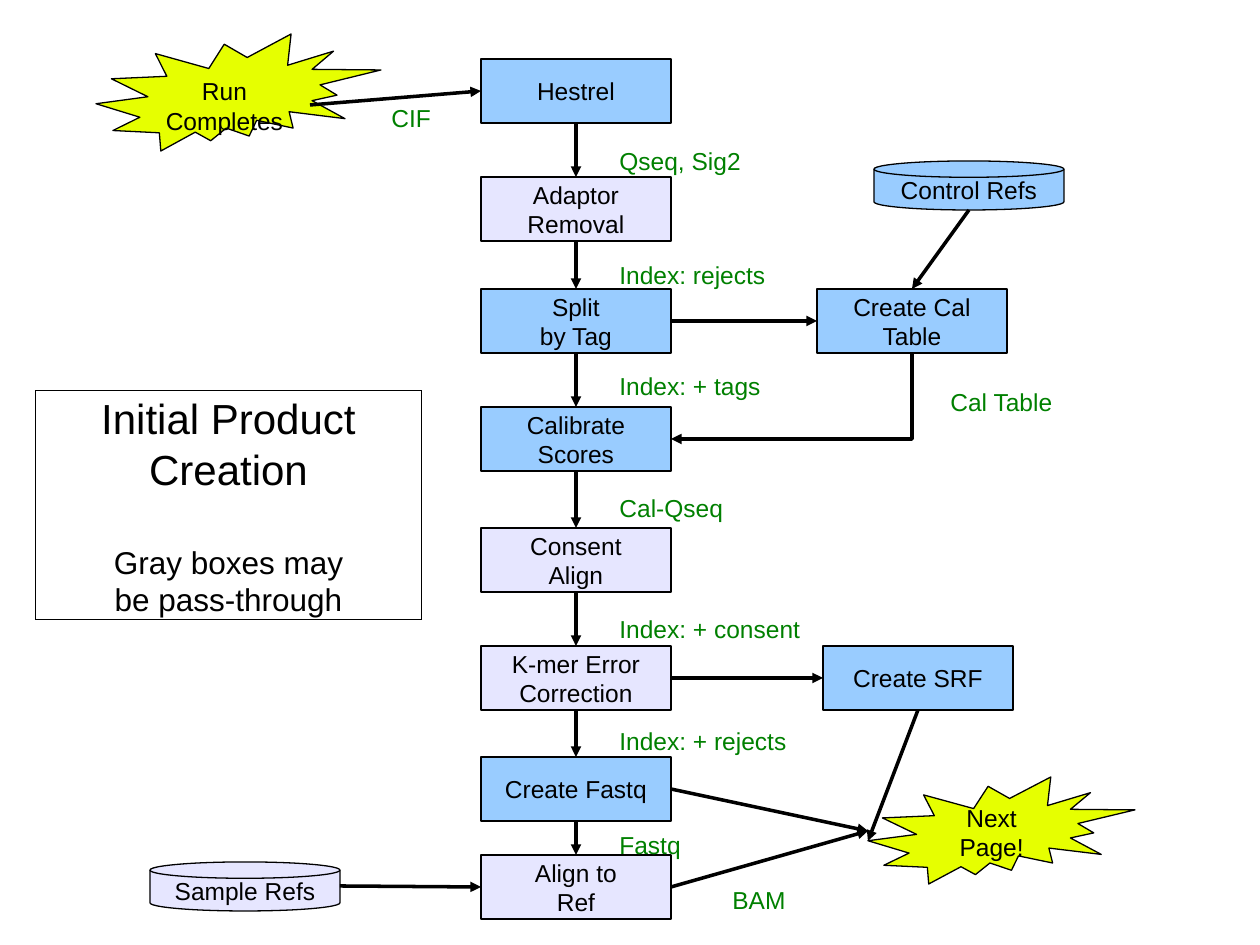
from lxml.etree import SubElement
from pptx import Presentation
from pptx.dml.color import RGBColor
from pptx.enum.shapes import MSO_CONNECTOR as LINK, MSO_SHAPE as SHAPE
from pptx.enum.text import MSO_ANCHOR as ANCHOR, MSO_AUTO_SIZE as AUTO, PP_ALIGN as ALIGN
from pptx.oxml.ns import qn
from pptx.util import Emu, Pt

PX = 914400 / 126
BLACK = RGBColor(0x00, 0x00, 0x00)
WHITE = RGBColor(0xFF, 0xFF, 0xFF)
BLUE = RGBColor(0x99, 0xCC, 0xFF)
GRAY = RGBColor(0xE6, 0xE6, 0xFF)
YELLOW = RGBColor(0xE6, 0xFF, 0x00)
GREEN = RGBColor(0x00, 0x80, 0x00)

STEP_W, STEP_H, DISK_H = 190, 64, 49
SPINE_X, LABEL_X = 481, 607

# Main pipeline: text, top, fill
PIPELINE = [
    ("Hestrel", 59, BLUE),
    ("Adaptor\nRemoval", 177, GRAY),
    ("Split\nby Tag", 289, BLUE),
    ("Calibrate\nScores", 407, BLUE),
    ("Consent\nAlign", 528, GRAY),
    ("K-mer Error\nCorrection", 646, GRAY),
    ("Create Fastq", 757, BLUE),
    ("Align to\nRef", 855, GRAY),
]
# Side steps: text, left, top, fill
SIDE_STEPS = [
    ("Create Cal\nTable", 817, 289, BLUE),
    ("Create SRF", 823, 646, BLUE),
]
REFERENCES = [
    ("Control Refs", 874, 161, BLUE),
    ("Sample Refs", 150, 862, GRAY),
]
# Data passed along: text, left, top, width
DATA_LABELS = [
    ("CIF", 379, 97, 78),
    ("Qseq, Sig2", LABEL_X, 140, 176),
    ("Index: rejects", LABEL_X, 254, 218),
    ("Index: + tags", LABEL_X, 365, 218),
    ("Cal-Qseq", LABEL_X, 487, 218),
    ("Index: + consent", LABEL_X, 608, 305),
    ("Index: + rejects", LABEL_X, 720, 305),
    ("Fastq", LABEL_X, 824, 305),
    ("Cal Table", 938, 381, 152),
    ("BAM", 720, 879, 94),
]
TITLE = [("Initial Product", 24, 0), ("Creation", 24, 0),
         ("Gray boxes may", 18, 28), ("be pass-through", 18, 0)]

TOP, LEFT, BOTTOM, RIGHT = range(4)
# Each end is a (step, side) pair or a plain point
SIDE_ARROWS = [
    ((310, 105), ("Hestrel", LEFT)),
    (("Split\nby Tag", RIGHT), ("Create Cal\nTable", LEFT)),
    ((969, 210), ("Create Cal\nTable", TOP)),
    (("K-mer Error\nCorrection", RIGHT), ("Create SRF", LEFT)),
    ((340, 886), ("Align to\nRef", LEFT)),
    (("Create Fastq", RIGHT), (868, 831)),
    (("Align to\nRef", RIGHT), (868, 831)),
    (("Create SRF", BOTTOM), (868, 841)),
]


def px(*values):
    return [Emu(round(v * PX)) for v in values]


def style_font(font, size, color):
    for key, value in {"name": "Arial", "size": Pt(size), "bold": False}.items():
        setattr(font, key, value)
    font.color.rgb = color


def write(frame, text, color=BLACK, align=ALIGN.CENTER, anchor=ANCHOR.MIDDLE):
    frame.word_wrap = True
    frame.vertical_anchor = anchor
    for i, line in enumerate(text.split("\n")):
        para = frame.paragraphs[0] if i == 0 else frame.add_paragraph()
        para.alignment = align
        run = para.add_run()
        run.text = line
        style_font(run.font, 14, color)


def outline(shape, fill):
    shape.fill.solid()
    shape.fill.fore_color.rgb = fill
    shape.line.color.rgb = BLACK
    shape.line.width = Pt(0)


def add_node(kind, box, fill, text=""):
    node = slide.shapes.add_shape(kind, *px(*box))
    node.shadow.inherit = False
    outline(node, fill)
    if text:
        write(node.text_frame, text)
    return node


def add_label(text, box, **style):
    write(slide.shapes.add_textbox(*px(*box)).text_frame, text, anchor=ANCHOR.TOP, **style)


def add_arrow(start, end, kind=LINK.STRAIGHT):
    arrow = slide.shapes.add_connector(kind, 0, 0, 0, 0)
    (arrow.begin_x, arrow.begin_y), (arrow.end_x, arrow.end_y) = [
        px(*end_) if not isinstance(end_[0], str) else (0, 0) for end_ in (start, end)]
    for spot, connect in ((start, arrow.begin_connect), (end, arrow.end_connect)):
        if isinstance(spot[0], str):
            connect(steps[spot[0]], spot[1])
    arrow.line.color.rgb = BLACK
    arrow.line.width = Pt(0)
    SubElement(arrow.line._get_or_add_ln(), qn("a:tailEnd"), type="triangle")
    SubElement(arrow._element.spPr, qn("a:effectLst"))
    return arrow


prs = Presentation()
prs.slide_width, prs.slide_height = px(1260, 945)
slide = prs.slides.add_slide(prs.slide_layouts[5])

# Title with its note
title = slide.shapes.title
title.left, title.top, title.width, title.height = px(35, 391, 387, 229)
outline(title, WHITE)
frame = title.text_frame
for key, value in {"word_wrap": True, "auto_size": AUTO.NONE,
                   "vertical_anchor": ANCHOR.MIDDLE}.items():
    setattr(frame, key, value)
for i, (text, size, gap) in enumerate(TITLE):
    para = frame.paragraphs[0] if i == 0 else frame.add_paragraph()
    para.alignment = ALIGN.CENTER
    para.space_before = Pt(gap)
    run = para.add_run()
    run.text = text
    style_font(run.font, size, BLACK)

# Start and end bursts
add_node(SHAPE.EXPLOSION2, (96, 34, 285, 117), YELLOW)
add_label("Run\nCompletes", (139, 70, 171, 72))
add_node(SHAPE.EXPLOSION2, (868, 777, 267, 107), YELLOW, "Next\nPage!")

# Steps and reference stores
all_steps = [(text, SPINE_X, top, fill) for text, top, fill in PIPELINE] + SIDE_STEPS
steps = {text: add_node(SHAPE.RECTANGLE, (left, top, STEP_W, STEP_H), fill, text)
         for text, left, top, fill in all_steps}
for text, left, top, fill in REFERENCES:
    add_node(SHAPE.FLOWCHART_MAGNETIC_DISK, (left, top, STEP_W, DISK_H), fill, text)

# Arrows down the pipeline, then to and from the sides
for (upper, *_), (lower, *_) in zip(PIPELINE, PIPELINE[1:]):
    add_arrow((upper, BOTTOM), (lower, TOP))
for start, end in SIDE_ARROWS:
    add_arrow(start, end)

# One-bend arrow from the calibration table: a quarter-turned box
bend = add_arrow(("Create Cal\nTable", BOTTOM), ("Calibrate\nScores", RIGHT), LINK.ELBOW)
run_w, drop = bend.width, bend.height
mid_x, mid_y = bend.left + run_w // 2, bend.top + drop // 2
geometry = bend._element.spPr
geometry.find(qn("a:prstGeom")).set("prst", "bentConnector2")
turn = geometry.find(qn("a:xfrm"))
turn.attrib.pop("flipH", None)
turn.set("rot", "5400000")
bend.left, bend.top = mid_x - drop // 2, mid_y - run_w // 2
bend.width, bend.height = drop, run_w

# Data labels
for text, left, top, width in DATA_LABELS:
    add_label(text, (left, top, width, 42), color=GREEN, align=ALIGN.LEFT)

prs.save("out.pptx")
